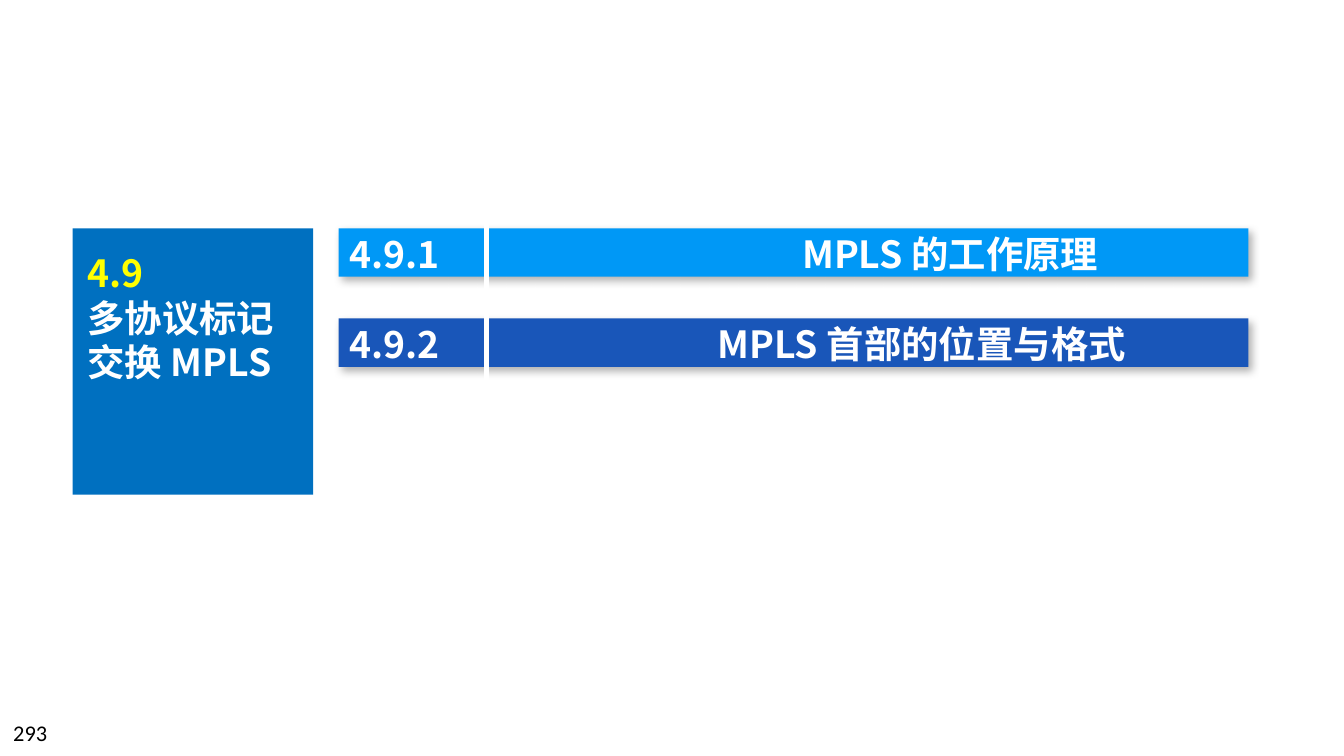
from lxml import etree
from pptx import Presentation
from pptx.dml.color import RGBColor
from pptx.enum.shapes import MSO_CONNECTOR, MSO_SHAPE
from pptx.enum.text import MSO_ANCHOR, MSO_AUTO_SIZE, PP_ALIGN
from pptx.oxml import parse_xml
from pptx.oxml.ns import nsdecls, qn
from pptx.util import Inches, Pt

RECTANGLE = MSO_SHAPE.RECTANGLE
STRAIGHT = MSO_CONNECTOR.STRAIGHT
TOP, MIDDLE = MSO_ANCHOR.TOP, MSO_ANCHOR.MIDDLE
LEFT = PP_ALIGN.LEFT
NO_AUTOFIT = MSO_AUTO_SIZE.NONE

HEADING = {"name": "Noto Sans CJK SC", "size": Pt(20), "bold": True}
PAGE_NUMBER = {"name": "Calibri", "size": Pt(12), "bold": False}
LINE_HEIGHT = Pt(24)
ROW_GAP = Pt(24)
ROW_PITCH = 0.67

# Number, heading, bar colour, heading offset from the text edge
SECTIONS = [
    ("4.9.1", "MPLS 的工作原理", "0098F6", 3.37),
    ("4.9.2", "MPLS 首部的位置与格式", "1956B9", 2.74),
]


def color(hex_string):
    return RGBColor.from_string(hex_string)


def place(shape, left, top, width, height):
    shape.left, shape.top = Inches(left), Inches(top)
    shape.width, shape.height = Inches(width), Inches(height)


def set_frame(shape, anchor=TOP):
    values = {
        "word_wrap": True, "auto_size": NO_AUTOFIT, "vertical_anchor": anchor,
        "margin_left": Inches(0.1), "margin_right": Inches(0.1),
        "margin_top": Inches(0.05), "margin_bottom": Inches(0.05),
    }
    for name, value in values.items():
        setattr(shape.text_frame, name, value)
    return shape.text_frame


def add_span(para, text, hex_string, values):
    span = para.add_run()
    span.text = text
    for name, value in values.items():
        setattr(span.font, name, value)
    span.font.color.rgb = color(hex_string)
    east_asian = etree.SubElement(span.font._element, qn("a:ea"))
    east_asian.set("typeface", values["name"])


def format_heading(para, space_before=0):
    values = {"alignment": LEFT, "line_spacing": LINE_HEIGHT,
              "space_before": space_before, "space_after": 0}
    for name, value in values.items():
        setattr(para, name, value)


def add_block(page, box, hex_string):
    block = page.shapes.add_shape(RECTANGLE, *map(Inches, box))
    block.fill.solid()
    block.fill.fore_color.rgb = color(hex_string)
    block.line.fill.background()
    block.shadow.inherit = False
    return block


def add_shadow(block):
    effects = block._element.spPr.find(qn("a:effectLst"))
    effects.append(parse_xml(
        f'<a:outerShdw {nsdecls("a")} blurRad="{Pt(4.5)}" dist="{Pt(2.6)}" '
        f'dir="{53 * 60000}" algn="tl" rotWithShape="0">'
        '<a:srgbClr val="000000"><a:alpha val="30000"/></a:srgbClr>'
        '</a:outerShdw>'))


def add_chapter_panel(page, left, top, width, height):
    add_block(page, (left, top, width, height), "0070C0")
    title = page.shapes.title
    place(title, left + 0.01, top + 0.11, width - 0.01, 1.11)
    frame = set_frame(title)
    lines = [("4.9", "FFFF00"), ("多协议标记交换 MPLS", "FFFFFF")]
    for index, (text, hex_string) in enumerate(lines):
        para = frame.add_paragraph() if index else frame.paragraphs[0]
        format_heading(para)
        add_span(para, text, hex_string, HEADING)
    # Bring the title in front of its panel
    page.shapes._spTree.append(title._element)


def add_section_list(page, left, top, width, height):
    # Coloured bars
    for index, (_, _, hex_string, _) in enumerate(SECTIONS):
        bar_top = top + index * ROW_PITCH
        add_shadow(add_block(page, (left, bar_top, width, height), hex_string))

    # White divider between numbers and headings
    x = Inches(left + 1.1)
    divider = page.shapes.add_connector(
        STRAIGHT, x, Inches(top - 0.08), x, Inches(top + 2.42))
    divider.line.color.rgb = color("FFFFFF")
    divider.line.width = Pt(2.25)
    etree.SubElement(divider._element.spPr, qn("a:effectLst"))

    # Numbers and headings, aligned with tab stops
    text_box = (left - 0.02, top - 0.03, width + 0.21, 1.11)
    box = page.shapes.add_textbox(*map(Inches, text_box))
    frame = set_frame(box)
    for index, (number, heading, _, offset) in enumerate(SECTIONS):
        para = frame.add_paragraph() if index else frame.paragraphs[0]
        properties = para._p.get_or_add_pPr()
        tabs = etree.SubElement(properties, qn("a:tabLst"))
        etree.SubElement(tabs, qn("a:tab"), pos=str(Inches(offset)), algn="l")
        format_heading(para, ROW_GAP if index else 0)
        add_span(para, f"{number}\t{heading}", "FFFFFF", HEADING)


def add_page_number(page, left, top, width, height):
    box = page.shapes.add_textbox(*map(Inches, (left, top, width, height)))
    frame = set_frame(box, MIDDLE)
    add_span(frame.paragraphs[0], "293", "000000", PAGE_NUMBER)


def main():
    deck = Presentation()
    deck.slide_width = Inches(10)
    deck.slide_height = deck.slide_width * 9 // 16
    page = deck.slides.add_slide(deck.slide_layouts[5])
    add_chapter_panel(page, 0.54, 1.7, 1.79, 1.98)
    add_section_list(page, 2.52, 1.7, 6.77, 0.36)
    add_page_number(page, 0, 5.3, 2.33, 0.3)
    deck.save("out.pptx")


if __name__ == "__main__":
    main()
